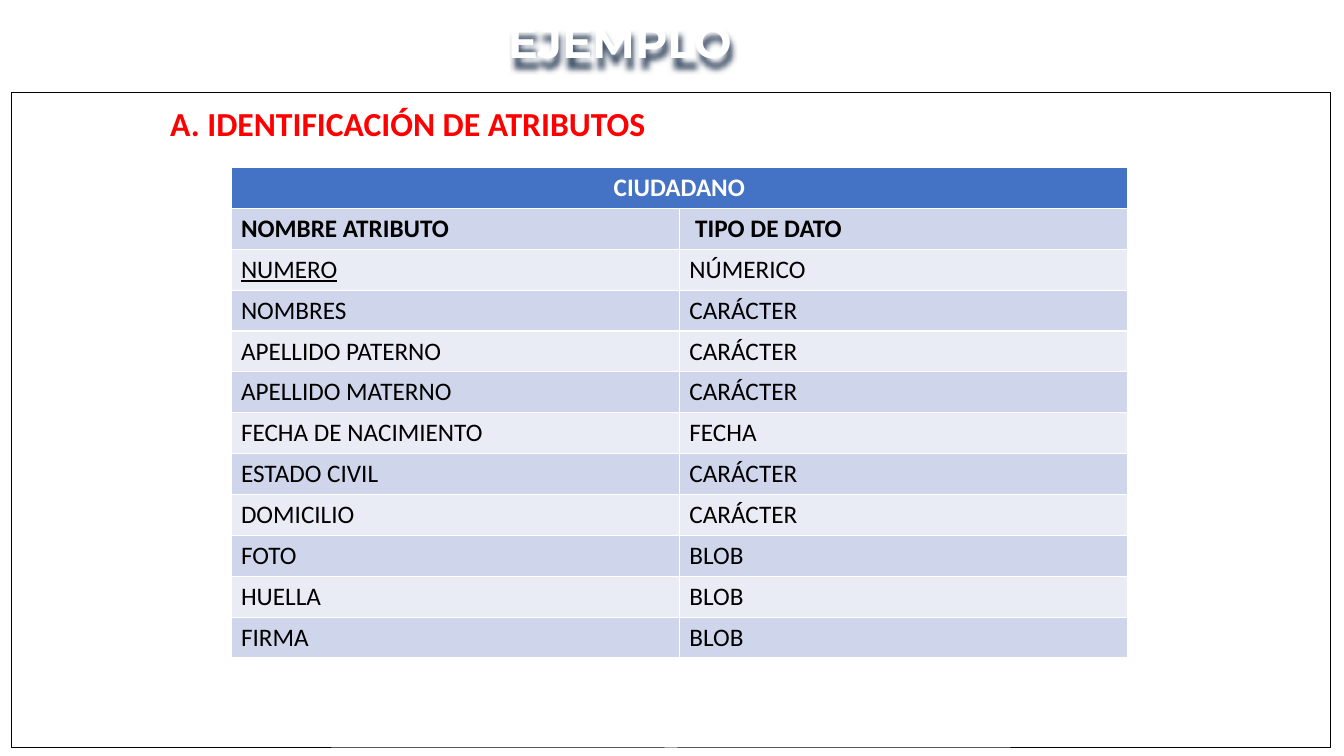
from lxml.etree import SubElement
from pptx import Presentation
from pptx.dml.color import RGBColor
from pptx.enum.shapes import MSO_SHAPE
from pptx.enum.text import MSO_AUTO_SIZE, PP_ALIGN
from pptx.oxml.ns import qn
from pptx.util import Cm, Pt

WHITE = RGBColor(0xFF, 0xFF, 0xFF)
BLACK = RGBColor(0x00, 0x00, 0x00)
RED = RGBColor(0xFF, 0x00, 0x00)
BLUE = RGBColor(0x44, 0x72, 0xC4)
DARK = RGBColor(0xCF, 0xD5, 0xEA)
LIGHT = RGBColor(0xE9, 0xEB, 0xF5)
SLATE = RGBColor(0x44, 0x54, 0x6A)


def add_run(para, text, size, color, bold=False, face="Calibri"):
    run = para.add_run()
    run.text = text
    run.font.name = face
    run.font.size = Pt(size)
    run.font.bold = bold
    run.font.color.rgb = color
    return run


deck = Presentation()
deck.slide_width = Cm(33.87)
deck.slide_height = Cm(19.05)
slide = deck.slides.add_slide(deck.slide_layouts[6])
shapes = slide.shapes

# Frame
frame = shapes.add_shape(MSO_SHAPE.RECTANGLE, Cm(0.3), Cm(2.34), Cm(33.22), Cm(16.51))
frame.shadow.inherit = False
frame.fill.solid()
frame.fill.fore_color.rgb = WHITE
frame.line.color.rgb = BLACK
frame.line.width = Pt(0.75)

# Attribute table
rows = [
    ("NOMBRE ATRIBUTO", " TIPO DE DATO"),
    ("NUMERO", "NÚMERICO"),
    ("NOMBRES", "CARÁCTER"),
    ("APELLIDO PATERNO", "CARÁCTER"),
    ("APELLIDO MATERNO", "CARÁCTER"),
    ("FECHA DE NACIMIENTO", "FECHA"),
    ("ESTADO CIVIL", "CARÁCTER"),
    ("DOMICILIO", "CARÁCTER"),
    ("FOTO", "BLOB"),
    ("HUELLA", "BLOB"),
    ("FIRMA", "BLOB"),
]
count = len(rows) + 1
table = shapes.add_table(count, 2, Cm(5.82), Cm(4.22), Cm(22.6), Cm(1.03) * count).table
for row in table.rows:
    row.height = Cm(1.03)

# Header across both columns
head = table.cell(0, 0)
head.merge(table.cell(0, 1))
head.fill.solid()
head.fill.fore_color.rgb = BLUE
para = head.text_frame.paragraphs[0]
para.alignment = PP_ALIGN.CENTER
add_run(para, "CIUDADANO", 18, WHITE, bold=True)

# Banded rows, with the key underlined
for i, row in enumerate(rows, 1):
    for j, text in enumerate(row):
        cell = table.cell(i, j)
        cell.fill.solid()
        cell.fill.fore_color.rgb = DARK if i % 2 else LIGHT
        run = add_run(cell.text_frame.paragraphs[0], text, 18, BLACK, bold=i == 1)
        if text == "NUMERO":
            run.font.underline = True

# Title
title = shapes.add_textbox(Cm(0), Cm(0.46), Cm(31.24), Cm(1.24))
body = title.text_frame
body.word_wrap = True
body.auto_size = MSO_AUTO_SIZE.SHAPE_TO_FIT_TEXT
body.margin_left = body.margin_top = body.margin_right = body.margin_bottom = Cm(0)
para = body.paragraphs[0]
para.alignment = PP_ALIGN.CENTER
para.line_spacing = Pt(35)
add_run(para, "EJEMPLO", 32, WHITE, bold=True, face="Montserrat")

# Soft shadow behind the title
effect = SubElement(title.element.spPr, qn("a:effectLst"))
shade = SubElement(effect, qn("a:outerShdw"), blurRad=str(Pt(4)), dist=str(Pt(6)),
                   dir="4800000", algn="tl", rotWithShape="0")
SubElement(shade, qn("a:srgbClr"), val=str(SLATE))

# Section heading
label = shapes.add_textbox(Cm(4.04), Cm(2.46), Cm(12.78), Cm(1.27))
label.text_frame.word_wrap = False
label.text_frame.auto_size = MSO_AUTO_SIZE.SHAPE_TO_FIT_TEXT
add_run(label.text_frame.paragraphs[0], "A. IDENTIFICACIÓN DE ATRIBUTOS", 24, RED, bold=True)

deck.save("out.pptx")
